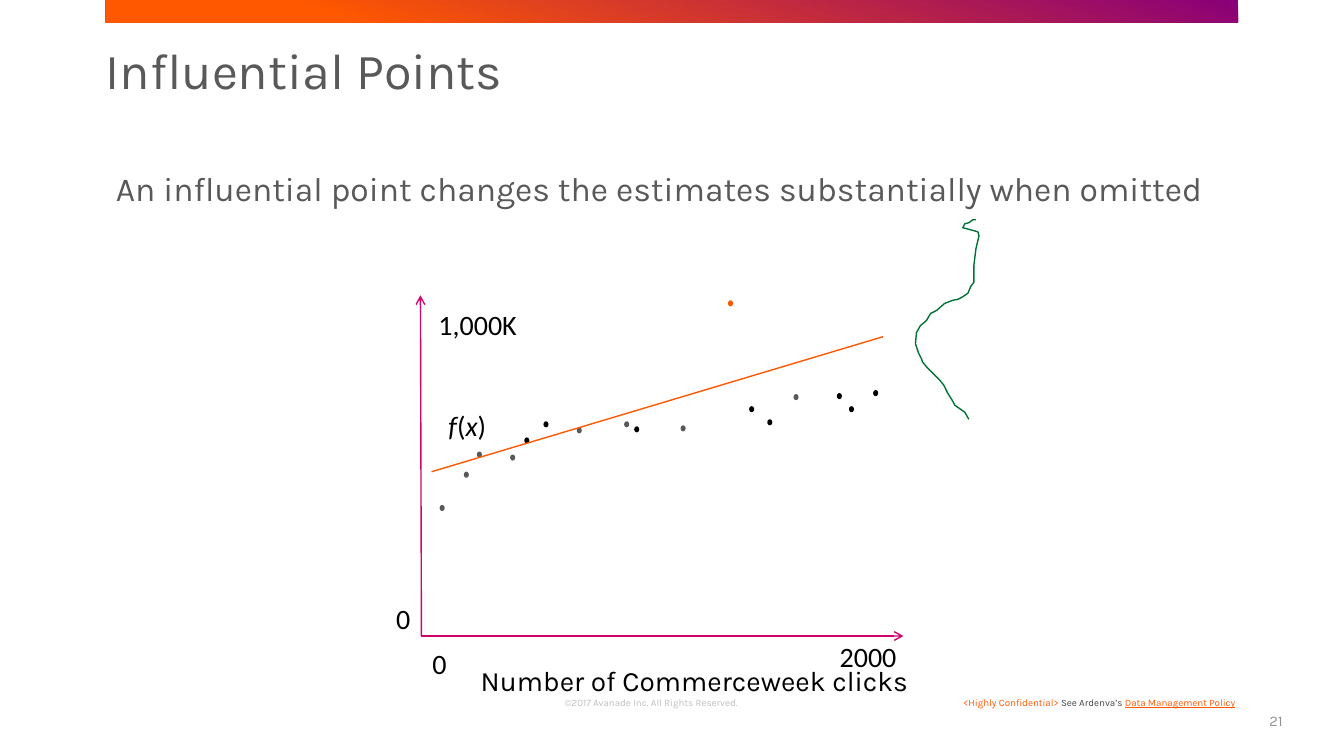
from dataclasses import dataclass

import pptx
import pptx.dml.color
import pptx.enum.shapes
import pptx.enum.text
import pptx.oxml
import pptx.oxml.ns
import pptx.util

Inches = pptx.util.Inches
Pt = pptx.util.Pt
ALIGN = pptx.enum.text.PP_ALIGN
ANCHOR = pptx.enum.text.MSO_ANCHOR
SHAPE = pptx.enum.shapes.MSO_SHAPE


@dataclass(frozen=True)
class Theme:
    orange: str = "FF5800"
    purple: str = "890078"
    magenta: str = "CE056A"
    green: str = "007233"
    black: str = "000000"
    grey: str = "595959"
    note_grey: str = "464646"
    page_grey: str = "939393"
    pale_grey: str = "BFBFBF"
    font: str = "Karla"
    chart_font: str = "Calibri"
    title: float = 36
    body: float = 24
    label: float = 20
    page: float = 10.5
    note: float = 7


T = Theme()

# Dot positions, relative to the chart's left top corner
GREY_DOTS = [(1.89, 1.31), (0.53, 2.08), (2.92, 1.29), (4.04, 0.98), (2.36, 1.25),
             (0.9, 1.55), (1.23, 1.58), (0.77, 1.75)]
BLACK_DOTS = [(1.56, 1.25), (1.37, 1.41), (3.78, 1.23), (3.6, 1.1), (4.47, 0.97),
              (4.83, 0.94), (4.59, 1.1), (2.46, 1.3)]
OUTLIER = [(3.39, 0.05)]

# Hand-drawn curve, relative to its own left top corner
CURVE = [(0.53, 1.98), (0.49, 1.91), (0.39, 1.84), (0.37, 1.8), (0.32, 1.72), (0.28, 1.64),
         (0.24, 1.59), (0.19, 1.54), (0.11, 1.46), (0.07, 1.41), (0.06, 1.38), (0.03, 1.32),
         (0, 1.23), (0.01, 1.12), (0.05, 1.05), (0.11, 1), (0.15, 0.93), (0.21, 0.9),
         (0.29, 0.83), (0.37, 0.8), (0.42, 0.79), (0.46, 0.77), (0.52, 0.73), (0.55, 0.66),
         (0.58, 0.62), (0.58, 0.45), (0.6, 0.29), (0.63, 0.16), (0.62, 0.12), (0.51, 0.09),
         (0.47, 0.08), (0.49, 0.04), (0.53, 0.03), (0.57, 0), (0.6, 0)]


def rgb(color):
    return pptx.dml.color.RGBColor.from_string(color)


def add_text(s, box, runs, size, font=T.font, align=ALIGN.LEFT, anchor=ANCHOR.TOP,
             wrap=True, inset=True, spacing=None):
    """Add a one-paragraph text box; runs are (text, colour, *styles)."""
    tf = s.shapes.add_textbox(*map(Inches, box)).text_frame
    tf.word_wrap = wrap
    tf.vertical_anchor = anchor
    if not inset:
        tf.margin_left = tf.margin_right = tf.margin_top = tf.margin_bottom = 0
    p = tf.paragraphs[0]
    p.alignment = align
    if spacing:
        p.line_spacing = spacing
    for text, color, *styles in runs:
        r = p.add_run()
        r.text = text
        r.font.name = font
        r.font.size = Pt(size)
        r.font.color.rgb = rgb(color)
        if "italic" in styles:
            r.font.italic = True
        if "underline" in styles:
            r.font.underline = True


def add_line(s, start, end, color, arrow=False):
    line = s.shapes.add_connector(pptx.enum.shapes.MSO_CONNECTOR.STRAIGHT,
                                  *map(Inches, start + end))
    line.line.color.rgb = rgb(color)
    line.line.width = Pt(1)
    if arrow:
        ln = line.line._get_or_add_ln()
        ln.append(pptx.oxml.parse_xml(
            f'<a:tailEnd {pptx.oxml.ns.nsdecls("a")} type="arrow"/>'))
    line._element.spPr.append(pptx.oxml.parse_xml(
        f'<a:effectLst {pptx.oxml.ns.nsdecls("a")}/>'))


def add_top_bar(s, x, y, w, h):
    bar = s.shapes.add_shape(SHAPE.RECTANGLE, *map(Inches, (x, y, w, h)))
    bar.shadow.inherit = False
    bar.line.fill.background()
    bar.fill.gradient()
    bar.fill.gradient_angle = 250
    for stop, color, position in zip(bar.fill.gradient_stops, (T.purple, T.orange), (0, 0.8)):
        stop.color.rgb = rgb(color)
        stop.position = position


def add_headings(s, x, y, w):
    add_text(s, (x, y, 8.9, 1), [("Influential Points", T.grey)], T.title,
             inset=False, spacing=0.9)
    add_text(s, (x, y + 1.2, w, 0.6),
             [("An influential point changes the estimates substantially when omitted", T.grey)],
             T.body, spacing=0.9)


def add_dots(s, x, y, dots, color):
    for dx, dy in dots:
        dot = s.shapes.add_shape(SHAPE.OVAL, *map(Inches, (x + dx, y + dy, 0.05, 0.06)))
        dot.shadow.inherit = False
        dot.fill.solid()
        dot.fill.fore_color.rgb = rgb(color)
        dot.line.fill.background()


def add_scatter(s, x, y, w, h):
    """Draw the scatter sketch; the box is the tip of each axis."""
    origin = (x + 0.35, y + h)
    add_line(s, origin, (x + w, y + h), T.magenta, arrow=True)
    add_line(s, origin, (x + 0.34, y), T.magenta, arrow=True)
    labels = [("0", 0.36, 3.43, 0.34), ("2000", 4.4, 3.37, 0.77),
              ("0", 0, 2.99, 0.34), ("1,000K", 0.42, 0.07, 0.98)]
    for text, dx, dy, width in labels:
        add_text(s, (x + dx, y + dy, width, 0.44), [(text, T.black)], T.label,
                 T.chart_font, wrap=False)
    add_text(s, (x + 0.84, y + 3.6, 4.8, 0.44),
             [("Number of Commerceweek clicks", T.black)], T.label)
    add_dots(s, x, y, GREY_DOTS, T.grey)
    add_dots(s, x, y, BLACK_DOTS, T.black)
    add_dots(s, x, y, OUTLIER, T.orange)
    add_line(s, (x + 0.45, y + 1.75), (x + 4.93, y + 0.41), T.orange)
    add_text(s, (x + 0.52, y + 1.07, 0.64, 0.44),
             [("f", T.black, "italic"), ("(", T.black), ("x", T.black, "italic"),
              (")", T.black)], T.label, T.chart_font, wrap=False)


def add_curve(s, x, y):
    points = [(Inches(x + dx), Inches(y + dy)) for dx, dy in CURVE]
    builder = s.shapes.build_freeform(*points[0])
    builder.add_line_segments(points[1:], close=False)
    sp = builder.convert_to_shape()
    sp.shadow.inherit = False
    sp.fill.background()
    sp.line.color.rgb = rgb(T.green)
    sp.line.width = Pt(1)


def add_footer(s, x, y):
    add_text(s, (x, y, 2.72, 0.18), [("©2017 Avanade Inc. All Rights Reserved.", T.pale_grey)],
             T.note, align=ALIGN.CENTER, anchor=ANCHOR.BOTTOM, inset=False, spacing=0.9)
    add_text(s, (x + 4.21, y + 0.01, 3.04, 0.22),
             [("<Highly Confidential> ", T.orange), ("See Ardenva’s ", T.note_grey),
              ("Data Management Policy", T.orange, "underline")], T.note, align=ALIGN.RIGHT)
    add_text(s, (x + 7.18, y + 0.1, 0.54, 0.4), [("21", T.page_grey)], T.page,
             align=ALIGN.RIGHT, anchor=ANCHOR.MIDDLE)


def main():
    prs = pptx.Presentation()
    prs.slide_width, prs.slide_height = Inches(13.33), Inches(7.5)
    s = prs.slides.add_slide(prs.slide_layouts[6])
    add_top_bar(s, 1.05, 0, 11.23, 0.22)
    add_headings(s, 1.05, 0.46, 11.23)
    add_scatter(s, 3.83, 2.93, 5.13, 3.38)
    add_curve(s, 9.08, 2.18)
    add_footer(s, 5.1, 6.85)
    prs.save("out.pptx")


if __name__ == "__main__":
    main()
